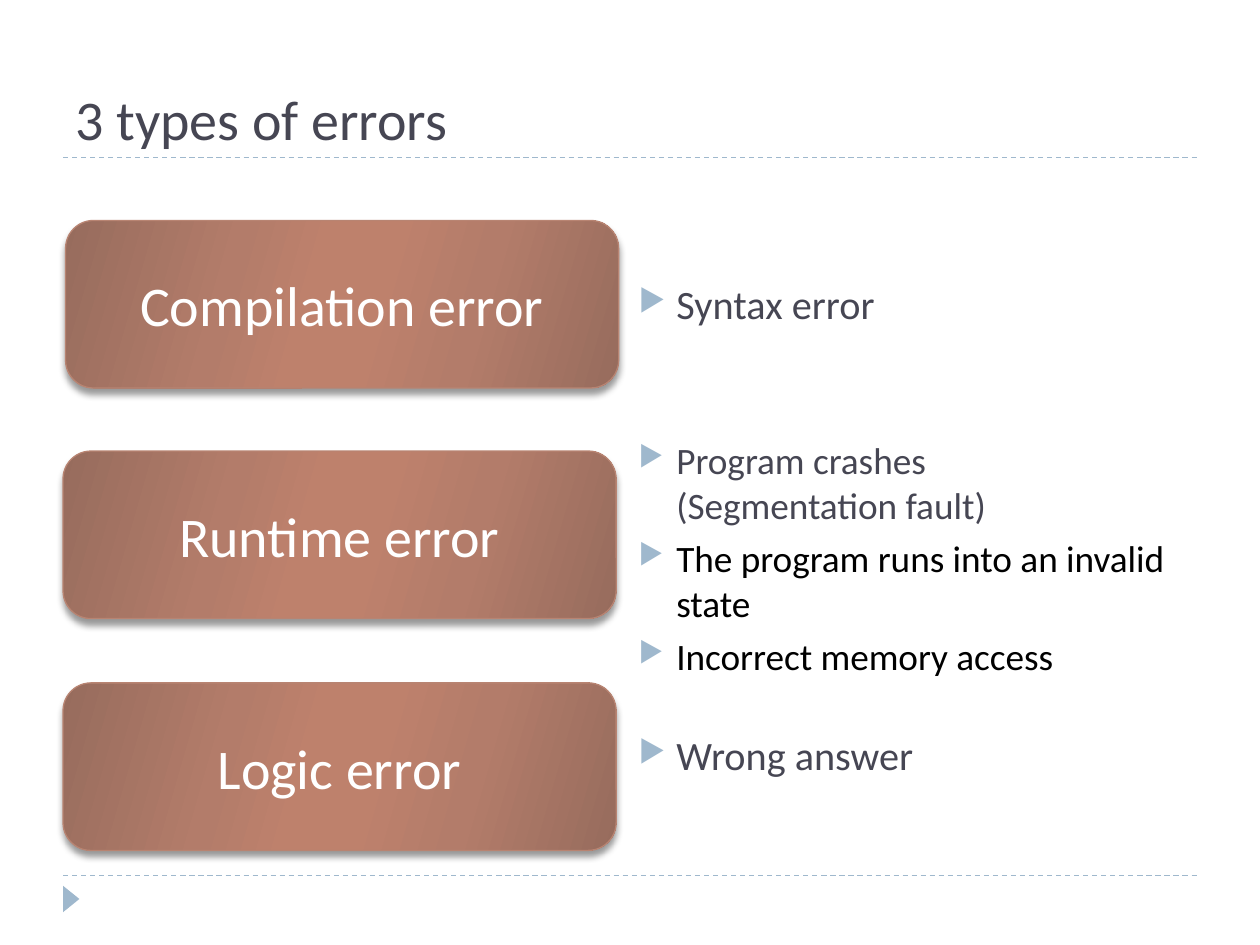
from lxml import etree
from pptx import Presentation
from pptx.dml.color import RGBColor
from pptx.enum.dml import MSO_LINE
from pptx.enum.shapes import MSO_CONNECTOR, MSO_SHAPE
from pptx.enum.text import MSO_ANCHOR as Anchor, PP_ALIGN as Align
from pptx.oxml import parse_xml
from pptx.oxml.ns import nsdecls, qn
from pptx.util import Inches, Pt

COLORS = {
    "accent": "9FB8CD",
    "heading": "464653",
    "black": "000000",
    "white": "FFFFFF",
    "box_edge": "976C5D",
    "box_mid": "B37C6A",
    "box_center": "BE816C",
    "box_line": "B88472",
}
BOX_STOPS = [(0, "box_edge"), (30, "box_mid"), (45, "box_center"),
             (55, "box_center"), (73, "box_mid"), (100, "box_edge")]


def color(name):
    return RGBColor.from_string(COLORS[name])


def write_text(paragraph, text, size, fill="heading", font="Calibri", align=Align.LEFT):
    paragraph.text = text
    paragraph.alignment = align
    for run in paragraph.runs:
        run.font.name = font
        run.font.size = Pt(size)
        run.font.color.rgb = color(fill)


def add_bullet(paragraph):
    properties = paragraph._p.get_or_add_pPr()
    properties.set("marL", str(Inches(0.6)))
    properties.set("indent", str(Inches(-0.3)))
    bullet_color = etree.SubElement(properties, qn("a:buClr"))
    etree.SubElement(bullet_color, qn("a:srgbClr"), val=COLORS["accent"])
    etree.SubElement(properties, qn("a:buSzPct"), val="76000")
    etree.SubElement(properties, qn("a:buChar"), char="▶")


class SlideBuilder:
    def __init__(self, slide):
        self.slide = slide

    def rule(self, y):
        line = self.slide.shapes.add_connector(
            MSO_CONNECTOR.STRAIGHT, Inches(0.5), Inches(y), Inches(9.5), Inches(y))
        line.line.color.rgb = color("accent")
        line.line.width = Pt(0.75)
        line.line.dash_style = MSO_LINE.DASH
        etree.SubElement(line._element.spPr, qn("a:effectLst"))

    def shape(self, kind, left, top, width, height):
        shape = self.slide.shapes.add_shape(
            kind, Inches(left), Inches(top), Inches(width), Inches(height))
        shape.shadow.inherit = False
        return shape

    def marker(self):
        triangle = self.shape(MSO_SHAPE.ISOSCELES_TRIANGLE, 0.46, 7.07, 0.21, 0.13)
        triangle.rotation = 90
        triangle.fill.solid()
        triangle.fill.fore_color.rgb = color("accent")
        triangle.line.fill.background()

    def error_box(self, left, top, text):
        box = self.shape(MSO_SHAPE.ROUNDED_RECTANGLE, left, top, 4.39, 1.33)
        box.line.color.rgb = color("box_line")
        box.line.width = Pt(0.75)
        stops = "".join(
            f'<a:gs pos="{position * 1000}"><a:srgbClr val="{COLORS[name]}"/></a:gs>'
            for position, name in BOX_STOPS)
        gradient = parse_xml(
            f'<a:gradFill {nsdecls("a")} rotWithShape="1"><a:gsLst>{stops}</a:gsLst>'
            f'<a:lin ang="{16 * 60000}" scaled="0"/></a:gradFill>')
        properties = box._element.spPr
        properties.find(qn("a:prstGeom")).addnext(gradient)
        properties.find(qn("a:effectLst")).append(parse_xml(
            f'<a:outerShdw {nsdecls("a")} blurRad="{Pt(4)}" dist="{Pt(3.4)}" '
            f'dir="{90 * 60000}" rotWithShape="0"><a:srgbClr val="{COLORS["black"]}">'
            '<a:alpha val="40000"/></a:srgbClr></a:outerShdw>'))
        box.text_frame.vertical_anchor = Anchor.MIDDLE
        write_text(box.text_frame.paragraphs[0], text, 32, "white", align=Align.CENTER)

    def text_box(self, left, top, width, height, anchor=Anchor.TOP):
        box = self.slide.shapes.add_textbox(
            Inches(left), Inches(top), Inches(width), Inches(height))
        box.text_frame.word_wrap = True
        box.text_frame.vertical_anchor = anchor
        return box.text_frame

    def title(self, text):
        frame = self.text_box(0.5, 0.17, 9, 1.08, Anchor.BOTTOM)
        write_text(frame.paragraphs[0], text, 32)

    def bullets(self, top, width, height, size, items):
        frame = self.text_box(4.67, top, width, height)
        for index, (text, fill) in enumerate(items):
            paragraph = frame.add_paragraph() if index else frame.paragraphs[0]
            write_text(paragraph, text, size, fill)
            paragraph.space_before = Pt(5)
            add_bullet(paragraph)


def main():
    presentation = Presentation()
    presentation.slide_width = Inches(10)
    presentation.slide_height = Inches(7.5)
    builder = SlideBuilder(presentation.slides.add_slide(presentation.slide_layouts[6]))

    for y in (6.95, 1.25):
        builder.rule(y)
    builder.marker()
    builder.title("3 types of errors")

    for left, top, text in [(0.52, 1.75, "Compilation error"),
                            (0.5, 3.58, "Runtime error"),
                            (0.5, 5.42, "Logic error")]:
        builder.error_box(left, top, text)

    builder.bullets(2.17, 4.33, 0.92, 23, [("Syntax error", "heading")])
    builder.bullets(3.42, 4.83, 1.75, 21.3, [
        ("Program crashes\n(Segmentation fault)", "heading"),
        ("The program runs into an invalid state", "black"),
        ("Incorrect memory access", "black"),
    ])
    builder.bullets(5.75, 4.83, 0.67, 23, [("Wrong answer", "heading")])

    presentation.save("out.pptx")


if __name__ == "__main__":
    main()
